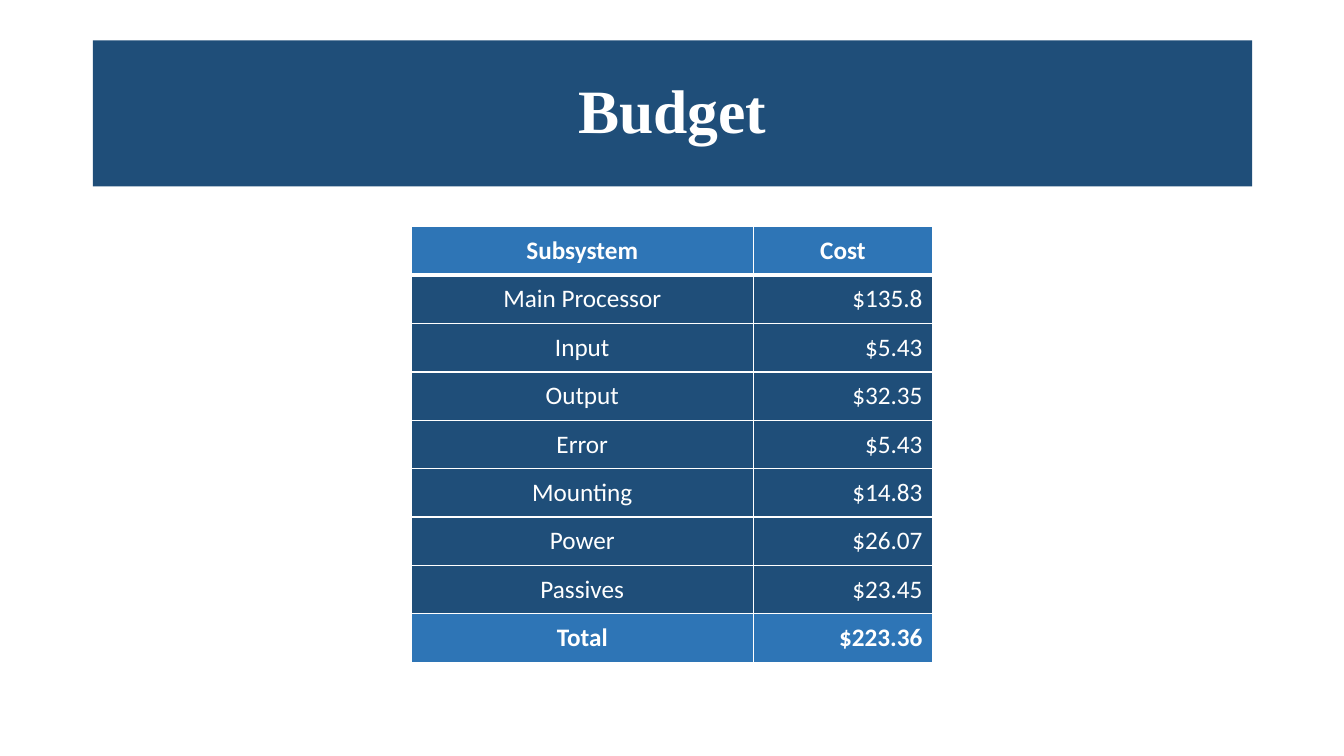
from dataclasses import dataclass

from lxml.etree import SubElement
from pptx import Presentation
from pptx.dml.color import RGBColor
from pptx.enum.text import MSO_ANCHOR as Anchor, MSO_AUTO_SIZE as AutoSize, PP_ALIGN as Align
from pptx.oxml.ns import qn
from pptx.table import _Cell as Cell
from pptx.text.text import TextFrame
from pptx.util import Emu, Pt

EMU_PER_PX = 9144
NAVY, BLUE, WHITE = "1F4E79", "2E75B6", "FFFFFF"
COLUMN_WIDTHS = (339, 178)
ROW_HEIGHT = 48


@dataclass(frozen=True)
class BudgetLine:
    subsystem: str
    cost: str
    fill: str = NAVY
    bold: bool = False
    cost_align: Align = Align.RIGHT
    rule_above: int = 1
    rule_below: int = 1


BUDGET = (
    BudgetLine("Subsystem", "Cost", BLUE, True, Align.CENTER, rule_below=3),
    BudgetLine("Main Processor", "$135.8", rule_above=3),
    BudgetLine("Input", "$5.43"),
    BudgetLine("Output", "$32.35"),
    BudgetLine("Error", "$5.43"),
    BudgetLine("Mounting", "$14.83"),
    BudgetLine("Power", "$26.07"),
    BudgetLine("Passives", "$23.45"),
    BudgetLine("Total", "$223.36", BLUE, True),
)


def px(length: int) -> Emu:
    return Emu(length * EMU_PER_PX)


def color(value: str) -> RGBColor:
    return RGBColor.from_string(value)


def write(frame: TextFrame, text: str, font: str, size: int, bold: bool, align: Align) -> None:
    frame.text = text
    paragraph = frame.paragraphs[0]
    paragraph.alignment = align
    for run in paragraph.runs:
        run.font.name = font
        run.font.size = Pt(size)
        run.font.bold = bold
        run.font.color.rgb = color(WHITE)


def add_border(cell: Cell, side: str, points: int) -> None:
    line = SubElement(cell._tc.get_or_add_tcPr(), qn(f"a:ln{side}"), w=str(Pt(points)))
    SubElement(SubElement(line, qn("a:solidFill")), qn("a:srgbClr"), val=WHITE)


def fill_cell(cell: Cell, text: str, align: Align, line: BudgetLine) -> None:
    write(cell.text_frame, text, "Calibri", 18, line.bold, align)
    cell.vertical_anchor = Anchor.MIDDLE
    for side, points in zip("LRTB", (1, 1, line.rule_above, line.rule_below)):
        add_border(cell, side, points)
    cell.fill.solid()
    cell.fill.fore_color.rgb = color(line.fill)


def main() -> None:
    deck = Presentation()
    deck.slide_width, deck.slide_height = px(1333), px(750)
    slide = deck.slides.add_slide(deck.slide_layouts[5])

    title = slide.shapes.title
    title.left, title.top, title.width, title.height = map(px, (92, 40, 1150, 145))
    title.fill.solid()
    title.fill.fore_color.rgb = color(NAVY)
    write(title.text_frame, "Budget", "Times New Roman", 44, True, Align.CENTER)
    title.text_frame.paragraphs[0].line_spacing = 0.9
    title.text_frame.vertical_anchor = Anchor.MIDDLE
    title.text_frame.auto_size = AutoSize.NONE

    budget = slide.shapes.add_table(
        len(BUDGET), len(COLUMN_WIDTHS), px(408), px(225),
        px(sum(COLUMN_WIDTHS)), px(ROW_HEIGHT * len(BUDGET)),
    ).table
    for column, width in zip(budget.columns, COLUMN_WIDTHS):
        column.width = px(width)
    for row, line in zip(budget.rows, BUDGET):
        row.height = px(ROW_HEIGHT)
        subsystem, cost = row.cells
        fill_cell(subsystem, line.subsystem, Align.CENTER, line)
        fill_cell(cost, line.cost, line.cost_align, line)

    deck.save("out.pptx")


if __name__ == "__main__":
    main()
